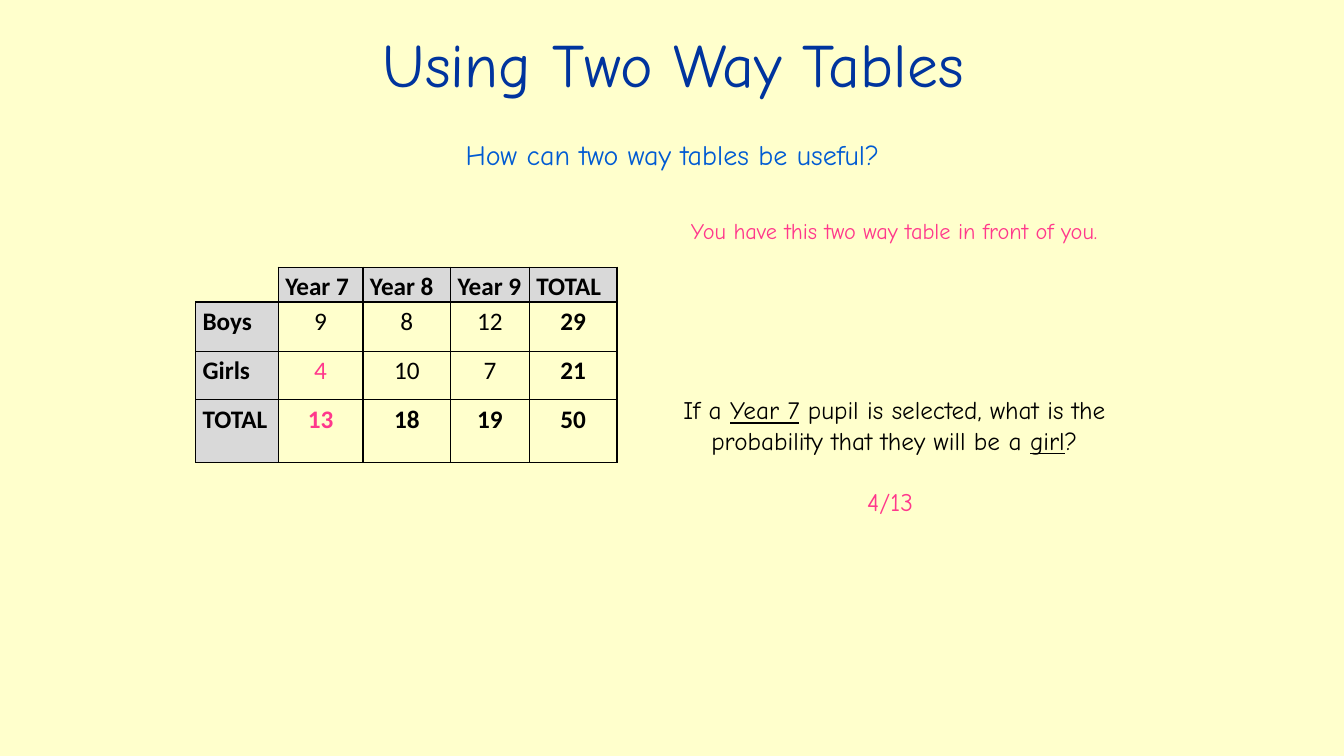
from lxml.etree import SubElement
from pptx import Presentation
from pptx.dml.color import RGBColor
from pptx.enum.text import PP_ALIGN
from pptx.oxml.ns import qn
from pptx.util import Inches, Pt

CREAM = RGBColor(0xFF, 0xFF, 0xCC)
NAVY = RGBColor(0x00, 0x34, 0x9E)
BLUE = RGBColor(0x00, 0x5B, 0xD3)
PINK = RGBColor(0xFF, 0x38, 0x8C)
BLACK = RGBColor(0, 0, 0)
GREY = RGBColor(0xD9, 0xD9, 0xD9)
HEADING_FONT = "Comic Neue"
TABLE_FONT = "Calibri"

COLUMN_WIDTHS = [0.82, 0.84, 0.87, 0.78, 0.87]
ROW_HEIGHTS = [0.3, 0.49, 0.48, 0.62]
PUPILS = [
    ["", "Year 7", "Year 8", "Year 9", "TOTAL"],
    ["Boys", "9", "8", "12", "29"],
    ["Girls", "4", "10", "7", "21"],
    ["TOTAL", "13", "18", "19", "50"],
]
ANSWER_CELLS = {(2, 1), (3, 1)}


def add_run(paragraph, text, font_name, size, color, bold=None, underline=None):
    run = paragraph.add_run()
    run.text = text
    run.font.name = font_name
    run.font.size = Pt(size)
    run.font.color.rgb = color
    run.font.bold = bold
    run.font.underline = underline


def add_text_frame(slide, left, top, width, height):
    box = slide.shapes.add_textbox(Inches(left), Inches(top), Inches(width), Inches(height))
    box.text_frame.word_wrap = True
    box.text_frame.paragraphs[0].alignment = PP_ALIGN.CENTER
    return box.text_frame


def add_heading(slide, left, top, width, height, text, size, color):
    frame = add_text_frame(slide, left, top, width, height)
    add_run(frame.paragraphs[0], text, HEADING_FONT, size, color)


def add_question(slide, left, top, width, height):
    frame = add_text_frame(slide, left, top, width, height)
    add_run(frame.paragraphs[0], "You have this two way table in front of you.",
            HEADING_FONT, 16, PINK)

    question = frame.add_paragraph()
    question.alignment = PP_ALIGN.CENTER
    question.space_before = Pt(108)
    for text, underline in [
        ("If a ", False),
        ("Year 7", True),
        (" pupil is selected, what is the probability that they will be a ", False),
        ("girl", True),
        ("?", False),
    ]:
        add_run(question, text, HEADING_FONT, 18, BLACK, underline=underline)

    answer = frame.add_paragraph()
    answer.alignment = PP_ALIGN.CENTER
    answer.space_before = Pt(22)
    add_run(answer, "4/13 ", HEADING_FONT, 18, PINK)


def set_borders(cell, visible_sides):
    properties = cell._tc.get_or_add_tcPr()
    for index, side in enumerate("LRTB"):
        line = properties.makeelement(qn(f"a:ln{side}"), {"w": str(Pt(1))})
        if side in visible_sides:
            fill = SubElement(line, qn("a:solidFill"))
            SubElement(fill, qn("a:srgbClr"), val=str(BLACK))
        else:
            SubElement(line, qn("a:noFill"))
        properties.insert(index, line)


def fill_cell(cell, row, column, text):
    is_corner = row == 0 and column == 0
    is_label = (row == 0 or column == 0) and not is_corner
    is_total = row == len(PUPILS) - 1 or column == len(PUPILS[0]) - 1
    cell.margin_left = cell.margin_right = Inches(0.07)
    cell.margin_top = cell.margin_bottom = 0
    if is_label:
        cell.fill.solid()
        cell.fill.fore_color.rgb = GREY
    else:
        cell.fill.background()
    set_borders(cell, "RB" if is_corner else "LRTB")

    paragraph = cell.text_frame.paragraphs[0]
    if is_corner:
        paragraph.font.size = Pt(18)
        return
    paragraph.line_spacing = 1.15
    paragraph.alignment = PP_ALIGN.LEFT if is_label else PP_ALIGN.CENTER
    color = PINK if (row, column) in ANSWER_CELLS else BLACK
    add_run(paragraph, text, TABLE_FONT, 18, color, bold=is_label or is_total)


def add_pupil_table(slide, left, top, width, height):
    table = slide.shapes.add_table(
        len(PUPILS), len(PUPILS[0]),
        Inches(left), Inches(top), Inches(width), Inches(height)).table
    table.first_row = False
    table.horz_banding = False
    for column, column_width in zip(table.columns, COLUMN_WIDTHS):
        column.width = Inches(column_width)
    for row, row_height in zip(table.rows, ROW_HEIGHTS):
        row.height = Inches(row_height)
    for row, values in enumerate(PUPILS):
        for column, text in enumerate(values):
            fill_cell(table.cell(row, column), row, column, text)


def main():
    presentation = Presentation()
    presentation.slide_width = Inches(13.33)
    presentation.slide_height = Inches(7.5)
    slide = presentation.slides.add_slide(presentation.slide_layouts[6])
    slide.background.fill.solid()
    slide.background.fill.fore_color.rgb = CREAM

    add_heading(slide, 2.18, 0.21, 9, 1.25, "Using Two Way Tables", 44, NAVY)
    add_heading(slide, 2.17, 1.31, 9, 5.98, "How can two way tables be useful?", 20, BLUE)
    add_question(slide, 6.35, 2.1, 5.04, 5.22)
    add_pupil_table(slide, 1.94, 2.65, sum(COLUMN_WIDTHS), sum(ROW_HEIGHTS))
    presentation.save("out.pptx")


if __name__ == "__main__":
    main()
